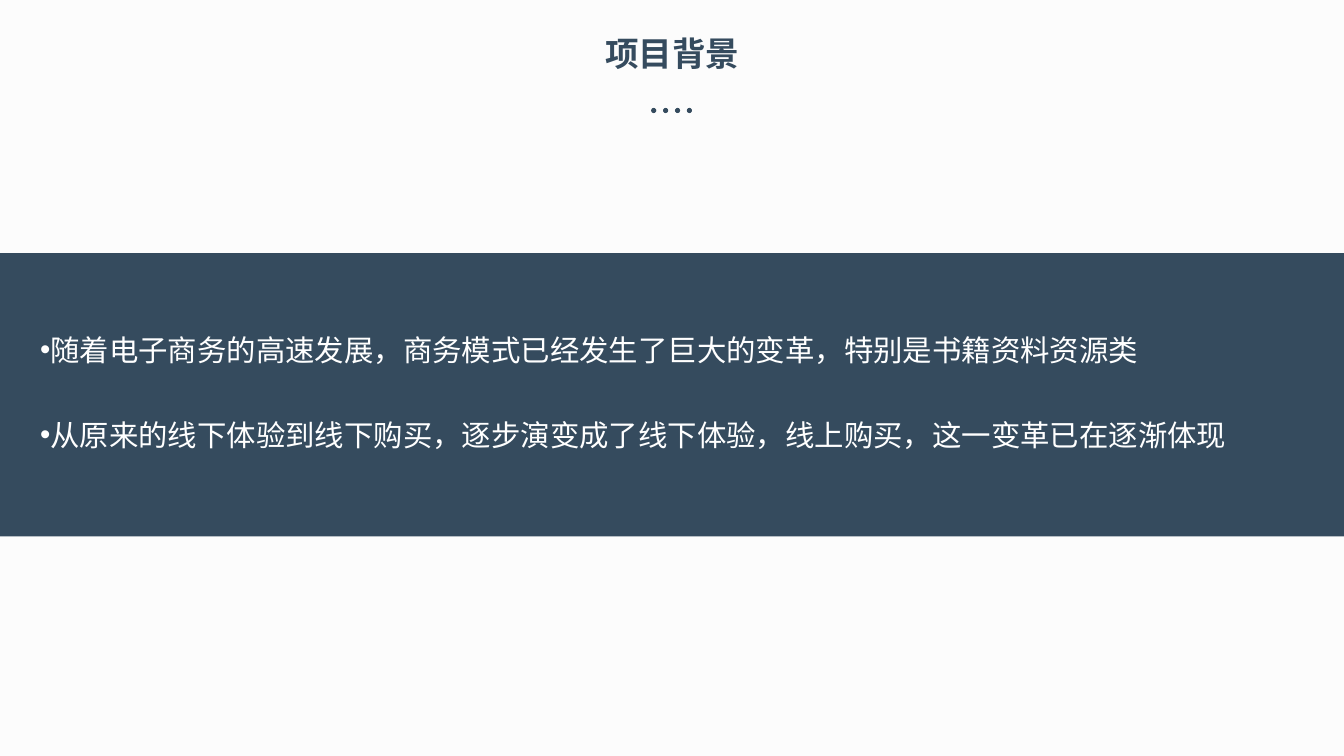
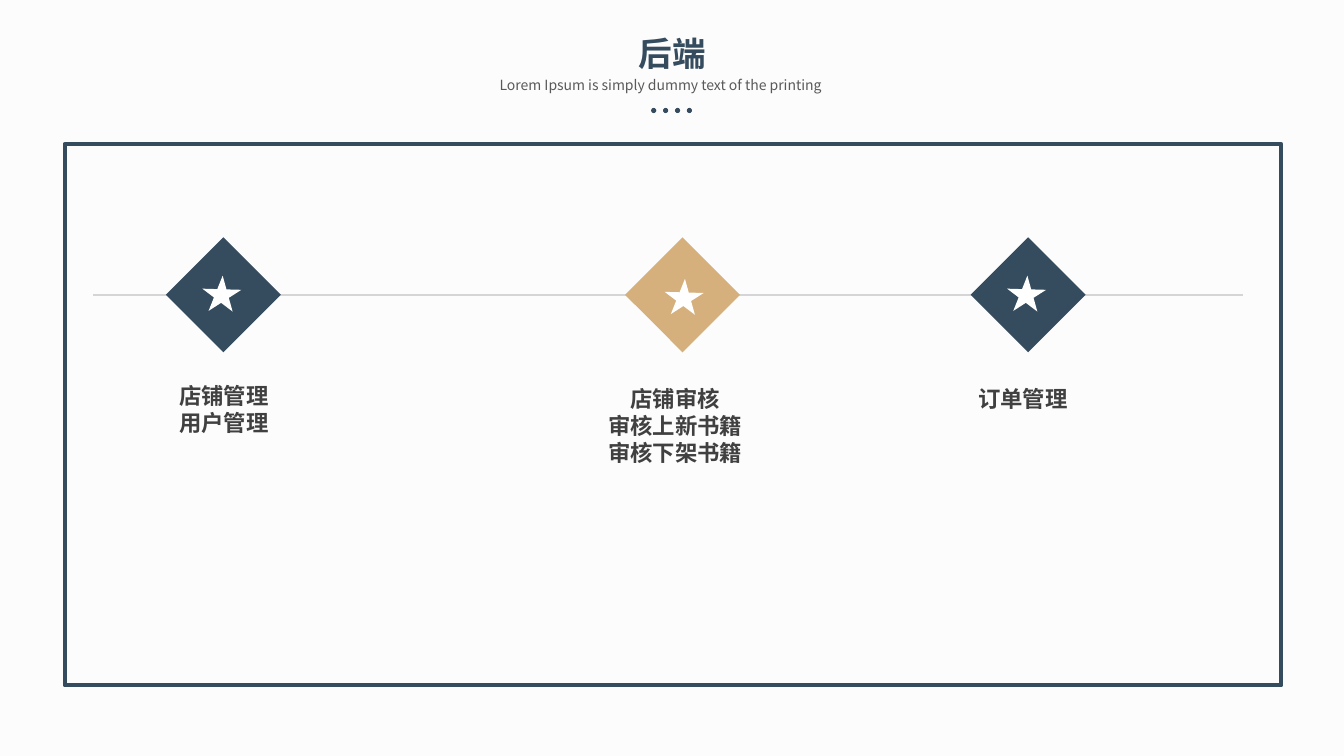
"""Build two slides: the project background and the back-end functions."""

from dataclasses import dataclass

from pptx import Presentation
from pptx.dml.color import RGBColor
from pptx.enum.shapes import MSO_CONNECTOR as Connector, MSO_SHAPE as Shape
from pptx.enum.text import MSO_ANCHOR as Anchor, MSO_AUTO_SIZE as AutoSize, PP_ALIGN as Align
from pptx.oxml.ns import qn
from pptx.slide import Slide
from pptx.util import Cm, Pt
from lxml.etree import SubElement

NAVY = RGBColor(0x35, 0x4B, 0x5E)
GOLD = RGBColor(0xD5, 0xB0, 0x7C)
WHITE = RGBColor(0xFF, 0xFF, 0xFF)
PAPER = RGBColor(0xFC, 0xFC, 0xFC)
RULE = RGBColor(0xD5, 0xD5, 0xD5)
INK = RGBColor(0x40, 0x40, 0x40)
GREY = RGBColor(0x59, 0x59, 0x59)

SANS = "Noto Sans CJK SC"
WIDTH, HEIGHT = 33.87, 19.05
AXIS_Y = 7.43
DIAMOND, STAR, LABEL_WIDTH = 2.05, 0.94, 5.69


@dataclass(frozen=True)
class Box:
    """A rectangle in centimetres."""

    left: float
    top: float
    width: float
    height: float

    def emu(self) -> tuple:
        """Return the rectangle as lengths."""
        return Cm(self.left), Cm(self.top), Cm(self.width), Cm(self.height)


@dataclass(frozen=True)
class Style:
    """The look of a text."""

    size: float
    color: RGBColor
    bold: bool = False
    align: Align = Align.LEFT
    font: str = SANS
    leading: float = 1.2


@dataclass(frozen=True)
class Milestone:
    """A diamond on the axis with its star and label, in centimetres."""

    x: float
    color: RGBColor
    label_x: float
    label_top: float
    lines: tuple[str, ...]
    star_shift: float = 0


TITLE = Style(24, NAVY, bold=True, align=Align.CENTER)
SUBTITLE = Style(10, GREY)
LABEL = Style(16, INK, bold=True, align=Align.CENTER)
BODY = Style(21, WHITE, font="Arial", leading=1.08)

BACKGROUND_POINTS = (
    "随着电子商务的高速发展，商务模式已经发生了巨大的变革，特别是书籍资料资源类",
    "从原来的线下体验到线下购买，逐步演变成了线下体验，线上购买，这一变革已在逐渐体现",
)

MILESTONES = (
    Milestone(5.63, NAVY, 5.64, 9.5, ("店铺管理", "用户管理")),
    Milestone(17.2, GOLD, 17.02, 9.57, ("店铺审核", "审核上新书籍", "审核下架书籍"), 0.08),
    Milestone(25.91, NAVY, 25.78, 9.57, ("订单管理",)),
)


def write(tf, lines: tuple[str, ...], style: Style) -> None:
    """Fill a text frame with one styled paragraph per line."""
    tf.text = "\n".join(lines)
    tf.word_wrap = True
    tf.auto_size = AutoSize.NONE
    tf.vertical_anchor = Anchor.TOP
    tf.margin_left = tf.margin_right = Cm(0.25)
    tf.margin_top = tf.margin_bottom = Cm(0.13)
    for p in tf.paragraphs:
        p.alignment = style.align
        p.line_spacing = Pt(style.size * style.leading)
        for r in p.runs:
            r.font.name = style.font
            r.font.size = Pt(style.size)
            r.font.bold = style.bold
            r.font.color.rgb = style.color
            SubElement(r.font._element, qn("a:ea"), typeface=SANS)


def add_text(s: Slide, box: Box, lines: tuple[str, ...], style: Style):
    """Add a text box and return its text frame."""
    tf = s.shapes.add_textbox(*box.emu()).text_frame
    write(tf, lines, style)
    return tf


def add_filled(shapes, kind: Shape, box: Box, color: RGBColor, rotation: float = 0) -> None:
    """Add a borderless preset shape in one colour."""
    sp = shapes.add_shape(kind, *box.emu())
    sp.shadow.inherit = False
    sp.fill.solid()
    sp.fill.fore_color.rgb = color
    sp.line.fill.background()
    sp.rotation = rotation


def add_bullets(tf) -> None:
    """Put a round bullet before each paragraph."""
    for p in tf.paragraphs:
        props = p._p.get_or_add_pPr()
        props.set("marL", "0")
        props.set("indent", "0")
        SubElement(props, qn("a:buFont"), typeface="Arial")
        SubElement(props, qn("a:buChar"), char="•")


def add_titled_slide(prs, title: str) -> Slide:
    """Add a slide with the shared title and the four dots below it."""
    s = prs.slides.add_slide(prs.slide_layouts[5])
    sp = s.shapes.title
    sp.left, sp.top, sp.width, sp.height = Box(10.95, 0.71, 11.99, 1.27).emu()
    write(sp.text_frame, (title,), TITLE)
    dots = s.shapes.add_group_shape()
    for i in range(4):
        add_filled(dots.shapes, Shape.OVAL, Box(16.41 + 0.3 * i, 2.72, 0.13, 0.13), NAVY)
    return s


def add_axis(s: Slide) -> None:
    """Draw the thin line that carries the milestones."""
    line = s.shapes.add_connector(
        Connector.STRAIGHT, Cm(2.34), Cm(AXIS_Y), Cm(31.32), Cm(AXIS_Y)
    )
    line.line.color.rgb = RULE
    line.line.width = Pt(1)
    SubElement(line._element.spPr, qn("a:effectLst"))


def add_milestone(s: Slide, m: Milestone) -> None:
    """Draw one diamond with its star and label."""

    def square(size: float, shift: float = 0) -> Box:
        """Return a square centred on the milestone."""
        return Box(m.x + shift - size / 2, AXIS_Y + shift - size / 2, size, size)

    add_filled(s.shapes, Shape.RECTANGLE, square(DIAMOND), m.color, 45)
    add_filled(s.shapes, Shape.STAR_5_POINT, square(STAR, m.star_shift), WHITE, 74.5)
    box = Box(m.label_x - LABEL_WIDTH / 2, m.label_top, LABEL_WIDTH, 0.26 + 0.68 * len(m.lines))
    add_text(s, box, m.lines, LABEL)


def build_background(prs) -> None:
    """Build the project background slide."""
    s = add_titled_slide(prs, "项目背景")
    add_filled(s.shapes, Shape.RECTANGLE, Box(0, 6.38, WIDTH, 7.14), NAVY)
    tf = add_text(s, Box(0.76, 8.33, 31.32, 3.25), BACKGROUND_POINTS, BODY)
    tf.paragraphs[0].space_after = Pt(38)
    add_bullets(tf)


def build_backend(prs) -> None:
    """Build the back-end slide."""
    s = add_titled_slide(prs, "后端")
    subtitle = "Lorem Ipsum is simply dummy text of the printing"
    add_text(s, Box(12.34, 1.8, 9.17, 0.69), (subtitle,), SUBTITLE)
    frame = s.shapes.add_shape(Shape.RECTANGLE, *Box(1.63, 3.63, 30.66, 13.64).emu())
    frame.shadow.inherit = False
    frame.fill.background()
    frame.line.color.rgb = NAVY
    frame.line.width = Pt(3)
    add_axis(s)
    for m in MILESTONES:
        add_milestone(s, m)


def main() -> None:
    """Build and save the presentation."""
    prs = Presentation()
    prs.slide_width, prs.slide_height = Cm(WIDTH), Cm(HEIGHT)
    fill = prs.slide_master.background.fill
    fill.solid()
    fill.fore_color.rgb = PAPER
    build_background(prs)
    build_backend(prs)
    prs.save("out.pptx")


if __name__ == "__main__":
    main()
